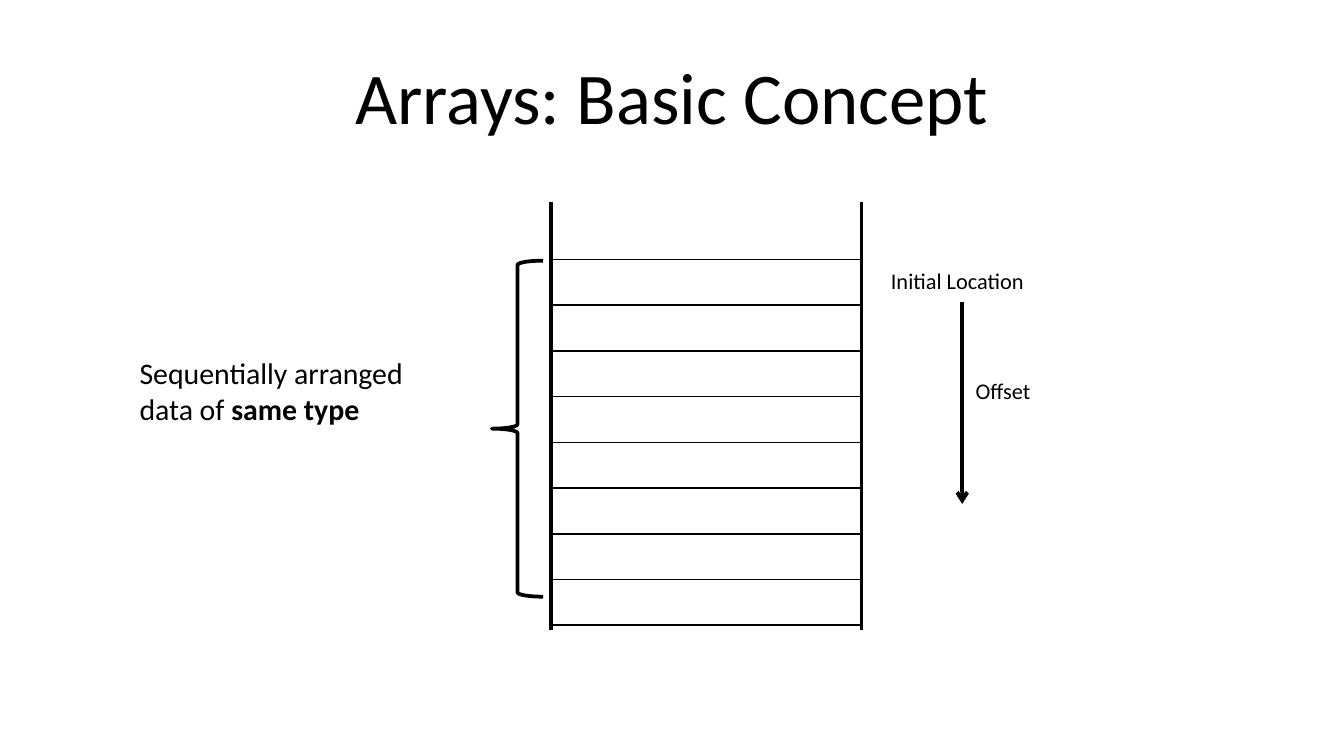
from typing import NamedTuple

from lxml import etree
from pptx import Presentation
from pptx.dml.color import RGBColor
from pptx.enum.shapes import MSO_CONNECTOR, MSO_SHAPE
from pptx.enum.text import MSO_ANCHOR, MSO_AUTO_SIZE, PP_ALIGN
from pptx.oxml.ns import qn
from pptx.util import Pt

STRAIGHT = MSO_CONNECTOR.STRAIGHT
LEFT_BRACE = MSO_SHAPE.LEFT_BRACE
TOP = MSO_ANCHOR.TOP
CENTER = PP_ALIGN.CENTER
GROW = MSO_AUTO_SIZE.SHAPE_TO_FIT_TEXT

FONT = "Calibri"
BLACK = "000000"
RULE_WIDTH = 2
ROW_COUNT = 8
ROW_HEIGHT = 24.5
ARRAY_LEFT = 295.2
ARRAY_TOP = 139
ARRAY_WIDTH = 166.3
ARRAY_RIGHT = ARRAY_LEFT + ARRAY_WIDTH


class Span(NamedTuple):
    text: str
    bold: bool = False


class Label(NamedTuple):
    left: float
    top: float
    width: float
    height: float
    size: float
    wrap: bool
    spans: tuple[Span, ...]


class Rule(NamedTuple):
    x: float
    top: float
    bottom: float
    arrow: bool = False


LABELS = (
    Label(67.7, 186.5, 185.8, 46, 16, True,
          (Span("Sequentially arranged data of "), Span("same type", True))),
    Label(470.2, 139.7, 86.4, 21.6, 12, False, (Span("Initial Location"),)),
    Label(515.5, 198.7, 44.6, 21.6, 12, False, (Span("Offset"),)),
)

RULES = (
    Rule(ARRAY_LEFT, 108, 337.7),
    Rule(ARRAY_RIGHT, 108, 337.7),
    Rule(515.5, 162, 270, True),
)


def color(value: str) -> RGBColor:
    return RGBColor.from_string(value)


def set_font(font, size: float) -> None:
    font.name = FONT
    font.size = Pt(size)
    font.color.rgb = color(BLACK)


def set_line(line) -> None:
    line.color.rgb = color(BLACK)
    line.width = Pt(RULE_WIDTH)


def add_title(page, text: str) -> None:
    title = page.shapes.title
    title.left, title.top = Pt(49.7), Pt(21.6)
    title.width, title.height = Pt(620.6), Pt(78.5)
    frame = title.text_frame
    frame.text = text
    frame.vertical_anchor = TOP
    frame.margin_top = Pt(6)
    para = frame.paragraphs[0]
    para.alignment = CENTER
    set_font(para.font, 39)


def add_borders(cell) -> None:
    properties = cell._tc.get_or_add_tcPr()
    for position, side in enumerate(("lnL", "lnR", "lnT", "lnB")):
        border = etree.Element(qn(f"a:{side}"), w=str(Pt(1)))
        fill = etree.SubElement(border, qn("a:solidFill"))
        etree.SubElement(fill, qn("a:srgbClr"), val=BLACK)
        properties.insert(position, border)


def add_array(page) -> None:
    table = page.shapes.add_table(
        ROW_COUNT, 1, Pt(ARRAY_LEFT), Pt(ARRAY_TOP),
        Pt(ARRAY_WIDTH), Pt(ROW_COUNT * ROW_HEIGHT)).table
    table.first_row = False
    table.horz_banding = False
    for row in table.rows:
        row.height = Pt(ROW_HEIGHT)
        cell = row.cells[0]
        cell.margin_top = cell.margin_bottom = 0
        cell.fill.background()
        add_borders(cell)


def add_rule(page, rule: Rule) -> None:
    connector = page.shapes.add_connector(
        STRAIGHT, Pt(rule.x), Pt(rule.top), Pt(rule.x), Pt(rule.bottom))
    set_line(connector.line)
    if rule.arrow:
        outline = connector.line._get_or_add_ln()
        etree.SubElement(outline, qn("a:tailEnd"), type="arrow")
    etree.SubElement(connector._element.spPr, qn("a:effectLst"))


def add_brace(page) -> None:
    brace = page.shapes.add_shape(
        LEFT_BRACE, Pt(263.5), Pt(139.7), Pt(27.4), Pt(180))
    brace.shadow.inherit = False
    brace.fill.background()
    set_line(brace.line)


def add_label(page, label: Label) -> None:
    box = page.shapes.add_textbox(
        Pt(label.left), Pt(label.top), Pt(label.width), Pt(label.height))
    frame = box.text_frame
    frame.word_wrap = label.wrap
    frame.auto_size = GROW
    para = frame.paragraphs[0]
    set_font(para.font, label.size)
    for span in label.spans:
        run = para.add_run()
        run.text = span.text
        if span.bold:
            run.font.bold = True


def main() -> None:
    deck = Presentation()
    deck.slide_width, deck.slide_height = Pt(720), Pt(405)
    page = deck.slides.add_slide(deck.slide_layouts[5])
    add_title(page, "Arrays: Basic Concept")
    add_array(page)
    add_brace(page)
    for rule in RULES:
        add_rule(page, rule)
    for label in LABELS:
        add_label(page, label)
    deck.save("out.pptx")


if __name__ == "__main__":
    main()
